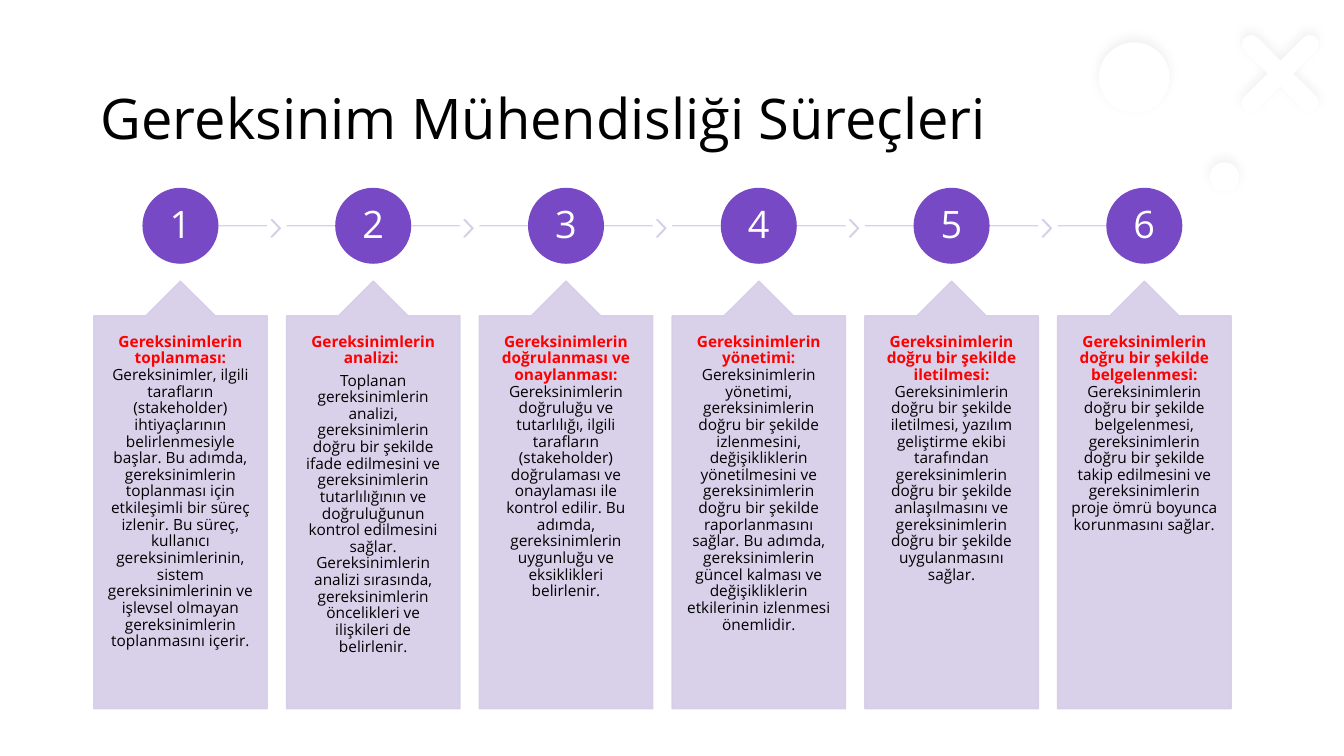
from math import cos, pi, sin, sqrt

from lxml import etree
from pptx import Presentation
from pptx.dml.color import RGBColor
from pptx.enum.shapes import MSO_CONNECTOR, MSO_SHAPE
from pptx.enum.text import MSO_ANCHOR, PP_ALIGN
from pptx.oxml.ns import qn
from pptx.util import Inches, Pt

TITLE = "Gereksinim Mühendisliği Süreçleri"
# Heading, description, whether the description starts its own paragraph
STEPS = [
    ("Gereksinimlerin toplanması: ",
     "Gereksinimler, ilgili tarafların (stakeholder) ihtiyaçlarının belirlenmesiyle başlar. "
     "Bu adımda, gereksinimlerin toplanması için etkileşimli bir süreç izlenir. Bu süreç, "
     "kullanıcı gereksinimlerinin, sistem gereksinimlerinin ve işlevsel olmayan "
     "gereksinimlerin toplanmasını içerir.", False),
    ("Gereksinimlerin analizi: ",
     "Toplanan gereksinimlerin analizi, gereksinimlerin doğru bir şekilde ifade edilmesini "
     "ve gereksinimlerin tutarlılığının ve doğruluğunun kontrol edilmesini sağlar. "
     "Gereksinimlerin analizi sırasında, gereksinimlerin öncelikleri ve ilişkileri de "
     "belirlenir.", True),
    ("Gereksinimlerin doğrulanması ve onaylanması: ",
     "Gereksinimlerin doğruluğu ve tutarlılığı, ilgili tarafların (stakeholder) doğrulaması "
     "ve onaylaması ile kontrol edilir. Bu adımda, gereksinimlerin uygunluğu ve eksiklikleri "
     "belirlenir.", False),
    ("Gereksinimlerin yönetimi: ",
     "Gereksinimlerin yönetimi, gereksinimlerin doğru bir şekilde izlenmesini, "
     "değişikliklerin yönetilmesini ve gereksinimlerin doğru bir şekilde raporlanmasını "
     "sağlar. Bu adımda, gereksinimlerin güncel kalması ve değişikliklerin etkilerinin "
     "izlenmesi önemlidir.", False),
    ("Gereksinimlerin doğru bir şekilde iletilmesi: ",
     "Gereksinimlerin doğru bir şekilde iletilmesi, yazılım geliştirme ekibi tarafından "
     "gereksinimlerin doğru bir şekilde anlaşılmasını ve gereksinimlerin doğru bir şekilde "
     "uygulanmasını sağlar.", False),
    ("Gereksinimlerin doğru bir şekilde belgelenmesi: ",
     "Gereksinimlerin doğru bir şekilde belgelenmesi, gereksinimlerin doğru bir şekilde "
     "takip edilmesini ve gereksinimlerin proje ömrü boyunca korunmasını sağlar.", False),
]

COLORS = {"white": "FFFFFF", "black": "000000", "heading": "FF0000",
          "circle": "7749C5", "card": "D5CDE8"}
FONT = "Open Sans"
LINE_SPACING = 0.9
CARD_OPACITY = 90
TITLE_ONLY_LAYOUT = 5
LEFT, TOP = PP_ALIGN.LEFT, MSO_ANCHOR.TOP
CENTER, MIDDLE = PP_ALIGN.CENTER, MSO_ANCHOR.MIDDLE
OVAL, CHEVRON, CALLOUT = MSO_SHAPE.OVAL, MSO_SHAPE.CHEVRON, MSO_SHAPE.UP_ARROW_CALLOUT
STRAIGHT = MSO_CONNECTOR.STRAIGHT

FIRST_CARD, LAST_CARD = 0.93, 10.49
CARD_TOP, CARD_WIDTH, CARD_HEIGHT = 2.79, 1.72, 4.24
PITCH = (LAST_CARD - FIRST_CARD) / (len(STEPS) - 1)
TRACK_Y = 2.24
CIRCLE_SIZE = 0.74
CHEVRON_OFFSET, CHEVRON_TOP, CHEVRON_WIDTH, CHEVRON_HEIGHT = 1.76, 2.18, 0.09, 0.17

BUBBLES = [(12, 1.61, 0.29), (10.9, 0.42, 0.7)]
CROSS_CENTER, CROSS_REACH, CROSS_RADIUS = (12.7, 0.73), 0.41, 0.09
CAP_STEPS = 12


def rgb(name):
    return RGBColor.from_string(COLORS[name])


def set_opacity(shape, percent):
    for color in shape.element.spPr.iter(qn("a:srgbClr")):
        etree.SubElement(color, qn("a:alpha"), val=str(percent * 1000))


def paint(shape, fill, line=None):
    shape.shadow.inherit = False
    shape.fill.solid()
    shape.fill.fore_color.rgb = rgb(fill)
    if line:
        shape.line.color.rgb = rgb(line)
        shape.line.width = Pt(1)
    else:
        shape.line.fill.background()


def add_shape(slide, kind, left, top, width, height, fill, line=None):
    shape = slide.shapes.add_shape(kind, *map(Inches, (left, top, width, height)))
    paint(shape, fill, line)
    return shape


def set_frame(frame, anchor, side, top):
    values = {"word_wrap": True, "vertical_anchor": anchor,
              "margin_left": Inches(side), "margin_right": Inches(side),
              "margin_top": Inches(top), "margin_bottom": Inches(top)}
    for name, value in values.items():
        setattr(frame, name, value)


def format_paragraph(paragraph, alignment, before=0):
    values = {"alignment": alignment, "line_spacing": LINE_SPACING, "space_before": Pt(before)}
    for name, value in values.items():
        setattr(paragraph, name, value)


def add_run(paragraph, text, size, color, bold=False):
    run = paragraph.add_run()
    run.text = text
    for name, value in {"name": FONT, "size": Pt(size), "bold": bold}.items():
        setattr(run.font, name, value)
    run.font.color.rgb = rgb(color)


def add_soft_shadow(shape):
    """Give a white ornament a faint shadow cast upwards."""
    effects = shape.element.spPr.find(qn("a:effectLst"))
    shadow = etree.SubElement(effects, qn("a:outerShdw"), blurRad=str(Pt(8)),
                              dist=str(Pt(3)), dir="16200000", rotWithShape="0")
    color = etree.SubElement(shadow, qn("a:srgbClr"), val=COLORS["black"])
    etree.SubElement(color, qn("a:alpha"), val="5000")


def cross_points():
    """Outline of a diagonal cross: a rounded cap, then an inner corner, per arm."""
    center_x, center_y = CROSS_CENTER
    points = []
    for arm in range(4):
        angle = pi / 4 + arm * pi / 2
        cap_x = center_x + CROSS_REACH * cos(angle)
        cap_y = center_y + CROSS_REACH * sin(angle)
        for step in range(CAP_STEPS + 1):
            turn = angle - pi / 2 + pi * step / CAP_STEPS
            points.append((cap_x + CROSS_RADIUS * cos(turn), cap_y + CROSS_RADIUS * sin(turn)))
        corner = angle + pi / 4
        reach = CROSS_RADIUS * sqrt(2)
        points.append((center_x + reach * cos(corner), center_y + reach * sin(corner)))
    return [(Inches(x), Inches(y)) for x, y in points]


def add_ornaments(slide):
    points = cross_points()
    builder = slide.shapes.build_freeform(*points[0])
    builder.add_line_segments(points[1:], close=True)
    cross = builder.convert_to_shape()
    paint(cross, "white")
    add_soft_shadow(cross)
    for left, top, size in BUBBLES:
        add_soft_shadow(add_shape(slide, OVAL, left, top, size, size, "white"))


def add_step(slide, index, heading, description, separate):
    left = FIRST_CARD + index * PITCH
    center = left + CARD_WIDTH / 2
    is_last = index == len(STEPS) - 1
    start = left if index else center
    end = center if is_last else left + CARD_WIDTH

    track = slide.shapes.add_connector(STRAIGHT, *map(Inches, (start, TRACK_Y, end, TRACK_Y)))
    track.line.color.rgb = rgb("card")
    track.line.width = Pt(1)
    set_opacity(track, CARD_OPACITY)
    etree.SubElement(track.element.spPr, qn("a:effectLst"))

    if not is_last:
        chevron = add_shape(slide, CHEVRON, left + CHEVRON_OFFSET, CHEVRON_TOP,
                            CHEVRON_WIDTH, CHEVRON_HEIGHT, "card", "card")
        chevron.adjustments[0] = 0.9
        set_opacity(chevron, CARD_OPACITY)

    circle = add_shape(slide, OVAL, center - CIRCLE_SIZE / 2, TRACK_Y - CIRCLE_SIZE / 2,
                       CIRCLE_SIZE, CIRCLE_SIZE, "circle", "circle")
    set_frame(circle.text_frame, MIDDLE, 0.03, 0.03)
    number = circle.text_frame.paragraphs[0]
    format_paragraph(number, CENTER)
    add_run(number, str(index + 1), 27, "white")

    card = add_shape(slide, CALLOUT, left, CARD_TOP, CARD_WIDTH, CARD_HEIGHT, "card", "card")
    for position, value in enumerate((0.5, 0.2, 0.2, 1)):
        card.adjustments[position] = value
    set_opacity(card, CARD_OPACITY)
    set_frame(card.text_frame, TOP, 0.13, 0.18)
    paragraph = card.text_frame.paragraphs[0]
    format_paragraph(paragraph, CENTER)
    add_run(paragraph, heading, 11, "heading", bold=True)
    if separate:
        paragraph = card.text_frame.add_paragraph()
        format_paragraph(paragraph, CENTER, before=3.9)
    add_run(paragraph, description, 11, "black")


def main():
    presentation = Presentation()
    presentation.slide_width, presentation.slide_height = Inches(13.33), Inches(7.5)
    slide = presentation.slides.add_slide(presentation.slide_layouts[TITLE_ONLY_LAYOUT])
    title = slide.shapes.title
    title.left, title.top, title.width, title.height = map(Inches, (0.9, 0.62, 11.52, 1.16))
    set_frame(title.text_frame, MIDDLE, 0.1, 0.05)
    format_paragraph(title.text_frame.paragraphs[0], LEFT)
    add_run(title.text_frame.paragraphs[0], TITLE, 40, "black")
    add_ornaments(slide)
    for index, step in enumerate(STEPS):
        add_step(slide, index, *step)
    presentation.save("out.pptx")


if __name__ == "__main__":
    main()
